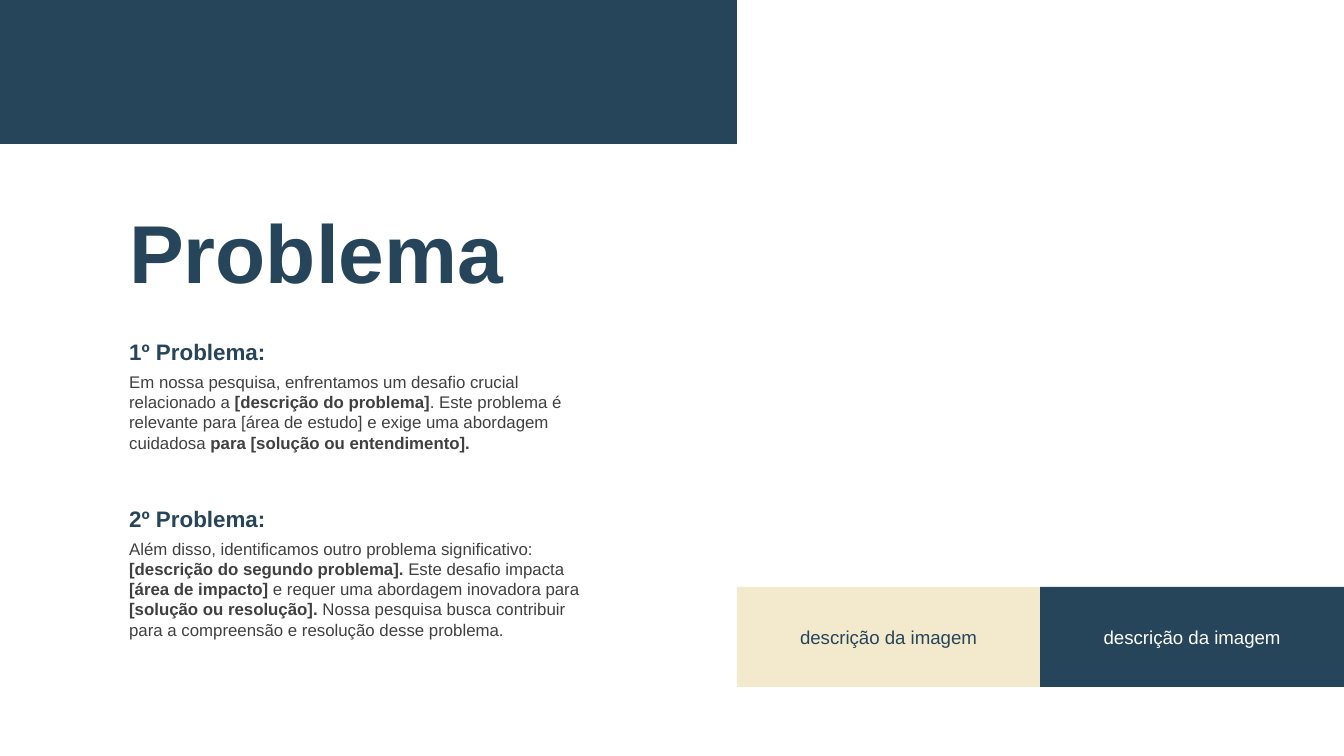
from pptx import Presentation
from pptx.dml.color import RGBColor
from pptx.enum.shapes import MSO_SHAPE
from pptx.enum.text import MSO_ANCHOR, PP_ALIGN
from pptx.util import Emu, Pt

NAVY = RGBColor(0x26, 0x45, 0x5A)
CREAM = RGBColor(0xF3, 0xEA, 0xCD)
GRAY = RGBColor(0x40, 0x40, 0x40)
WHITE = RGBColor(0xFF, 0xFF, 0xFF)
SCALE = 914400 / 134.4


def px(*sizes):
    return [Emu(round(size * SCALE)) for size in sizes]


def write(shape, parts, size, color, bold=None):
    frame = shape.text_frame
    frame.word_wrap = True
    para = frame.paragraphs[0]
    for text, strong in parts:
        run = para.add_run()
        run.text = text
        if strong:
            run.font.bold = True
    font = para.font
    font.name = "Arial"
    font.size = Pt(size)
    font.color.rgb = color
    font.bold = bold
    return para


deck = Presentation()
deck.slide_width, deck.slide_height = px(1344, 756)
slide = deck.slides.add_slide(deck.slide_layouts[6])
shapes = slide.shapes

blocks = [
    (0, 0, 737, 144, NAVY, "", NAVY),
    (737, 587, 303, 100, CREAM, "descrição da imagem", NAVY),
    (1040, 587, 304, 100, NAVY, "descrição da imagem", WHITE),
]
for left, top, width, height, fill, label, color in blocks:
    block = shapes.add_shape(MSO_SHAPE.RECTANGLE, *px(left, top, width, height))
    block.shadow.inherit = False
    block.fill.solid()
    block.fill.fore_color.rgb = fill
    block.line.fill.background()
    if label:
        block.text_frame.vertical_anchor = MSO_ANCHOR.MIDDLE
        write(block, [(label, False)], 10, color).alignment = PP_ALIGN.CENTER

title = shapes.add_textbox(*px(116, 224, 548, 77))
frame = title.text_frame
frame.vertical_anchor = MSO_ANCHOR.MIDDLE
frame.margin_top, frame.margin_bottom = px(13, 13)
write(title, [("Problema", False)], 44, NAVY, True).line_spacing = 0.7

issues = [
    ("1º Problema:", 332, 481, 95, [
        ("Em nossa pesquisa, enfrentamos um desafio crucial relacionado a ", False),
        ("[descrição do problema]", True),
        (". Este problema é relevante para [área de estudo] e exige uma abordagem cuidadosa ", False),
        ("para [solução ou entendimento].", True),
    ]),
    ("2º Problema:", 499, 492, 116, [
        ("Além disso, identificamos outro problema significativo: ", False),
        ("[descrição do segundo problema]. ", True),
        ("Este desafio impacta ", False),
        ("[área de impacto] ", True),
        ("e requer uma abordagem inovadora para ", False),
        ("[solução ou resolução]. ", True),
        ("Nossa pesquisa busca contribuir para a compreensão e resolução desse problema.", False),
    ]),
]
for name, top, width, height, parts in issues:
    head = shapes.add_textbox(*px(116, top, 508, 40))
    write(head, [(name, False)], 12, NAVY, True)
    body = shapes.add_textbox(*px(116, top + 33, width, height))
    write(body, parts, 9, GRAY)

deck.save("out.pptx")
